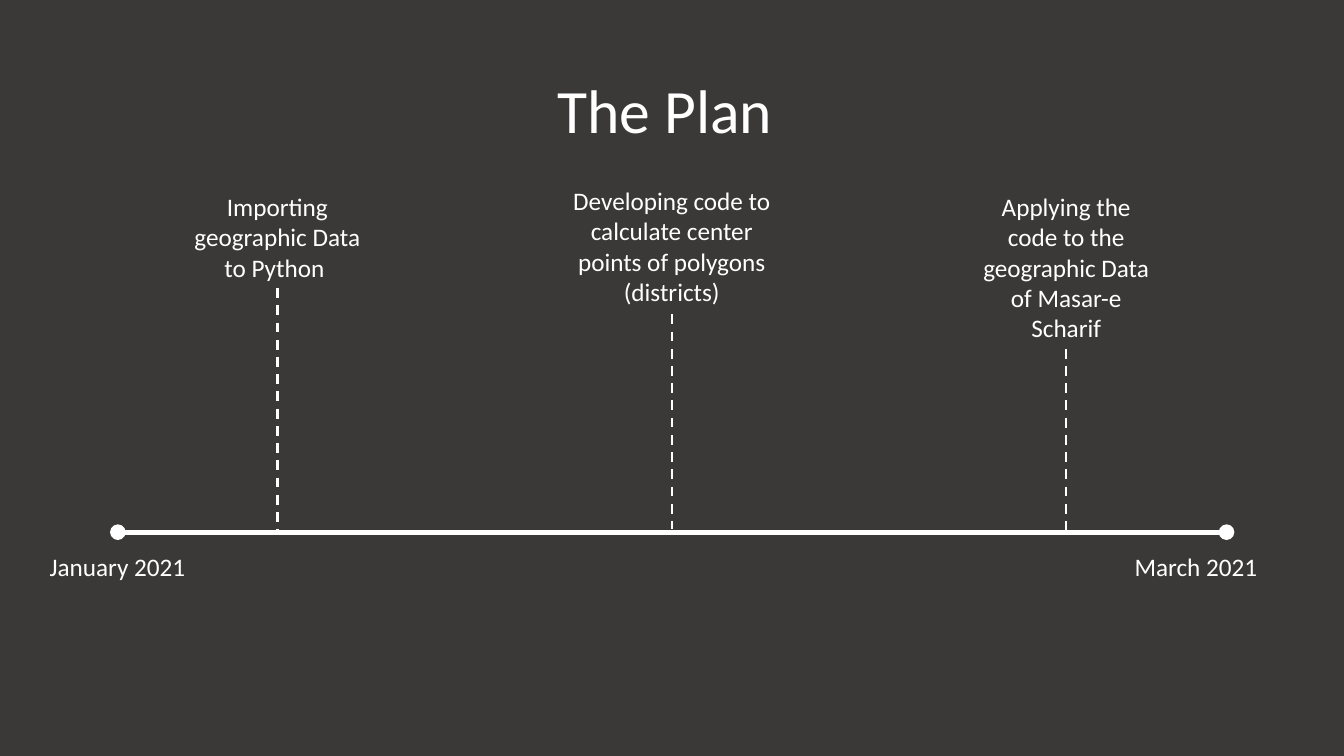
"""Build the project plan timeline slide."""
from lxml import etree
from pptx import Presentation
from pptx.dml.color import RGBColor
from pptx.enum.dml import MSO_LINE
from pptx.enum.shapes import MSO_CONNECTOR
from pptx.enum.text import MSO_ANCHOR, PP_ALIGN
from pptx.oxml.ns import qn
from pptx.util import Cm, Pt

CENTER = PP_ALIGN.CENTER
MIDDLE = MSO_ANCHOR.MIDDLE
STRAIGHT = MSO_CONNECTOR.STRAIGHT
DASH = MSO_LINE.DASH
FONT = "Calibri"
COLORS = {"background": "3B3838", "foreground": "FFFFFF"}
WHITE = RGBColor.from_string(COLORS["foreground"])


def write_text(shape, text, size):
    text_frame = shape.text_frame
    text_frame.word_wrap = True
    text_frame.text = text
    paragraph = text_frame.paragraphs[0]
    paragraph.alignment = CENTER
    font = paragraph.runs[0].font
    font.name = FONT
    font.size = Pt(size)
    font.color.rgb = WHITE


def add_line(start_x, start_y, end_x, end_y, width):
    connector = slide.shapes.add_connector(
        STRAIGHT, Cm(start_x), Cm(start_y), Cm(end_x), Cm(end_y))
    connector.line.color.rgb = WHITE
    connector.line.width = Pt(width)
    etree.SubElement(connector._element.spPr, qn("a:effectLst"))
    return connector


presentation = Presentation()
presentation.slide_width = Cm(33.87)
presentation.slide_height = Cm(19.05)
slide = presentation.slides.add_slide(presentation.slide_layouts[5])
slide.background.fill.solid()
slide.background.fill.fore_color.rgb = RGBColor.from_string(COLORS["background"])

title = slide.shapes.title
title.left, title.top, title.width, title.height = Cm(2.33), Cm(1.02), Cm(29.21), Cm(3.68)
write_text(title, "The Plan ", 44)
title.text_frame.vertical_anchor = MIDDLE
title.text_frame.paragraphs[0].line_spacing = 0.9

timeline = add_line(2.97, 13.41, 30.91, 13.41, 3.75)
for end in ("a:headEnd", "a:tailEnd"):
    etree.SubElement(timeline.line._get_or_add_ln(), qn(end), type="oval")

milestones = [
    ("Importing geographic Data to Python ", 6.99, 4.7, 4.8, 2.57, 7.26, 13.34),
    ("Developing code to calculate center points of polygons (districts)",
     16.93, 4.55, 5.77, 4.11, 7.92, 13.34),
    ("Applying the code to the geographic Data of Masar-e Scharif",
     26.87, 4.7, 4.8, 4.11, 8.79, 13.49),
]
for text, center, top, width, height, line_top, line_bottom in milestones:
    label = slide.shapes.add_textbox(
        Cm(center - width / 2), Cm(top), Cm(width), Cm(height))
    write_text(label, text, 18)
    stem = add_line(center, line_top, center, line_bottom, 1.75)
    stem.line.dash_style = DASH

for text, left in (("January 2021", 0.56), ("March 2021", 27.74)):
    date = slide.shapes.add_textbox(Cm(left), Cm(13.77), Cm(4.8), Cm(1.02))
    write_text(date, text, 18)

presentation.save("out.pptx")
